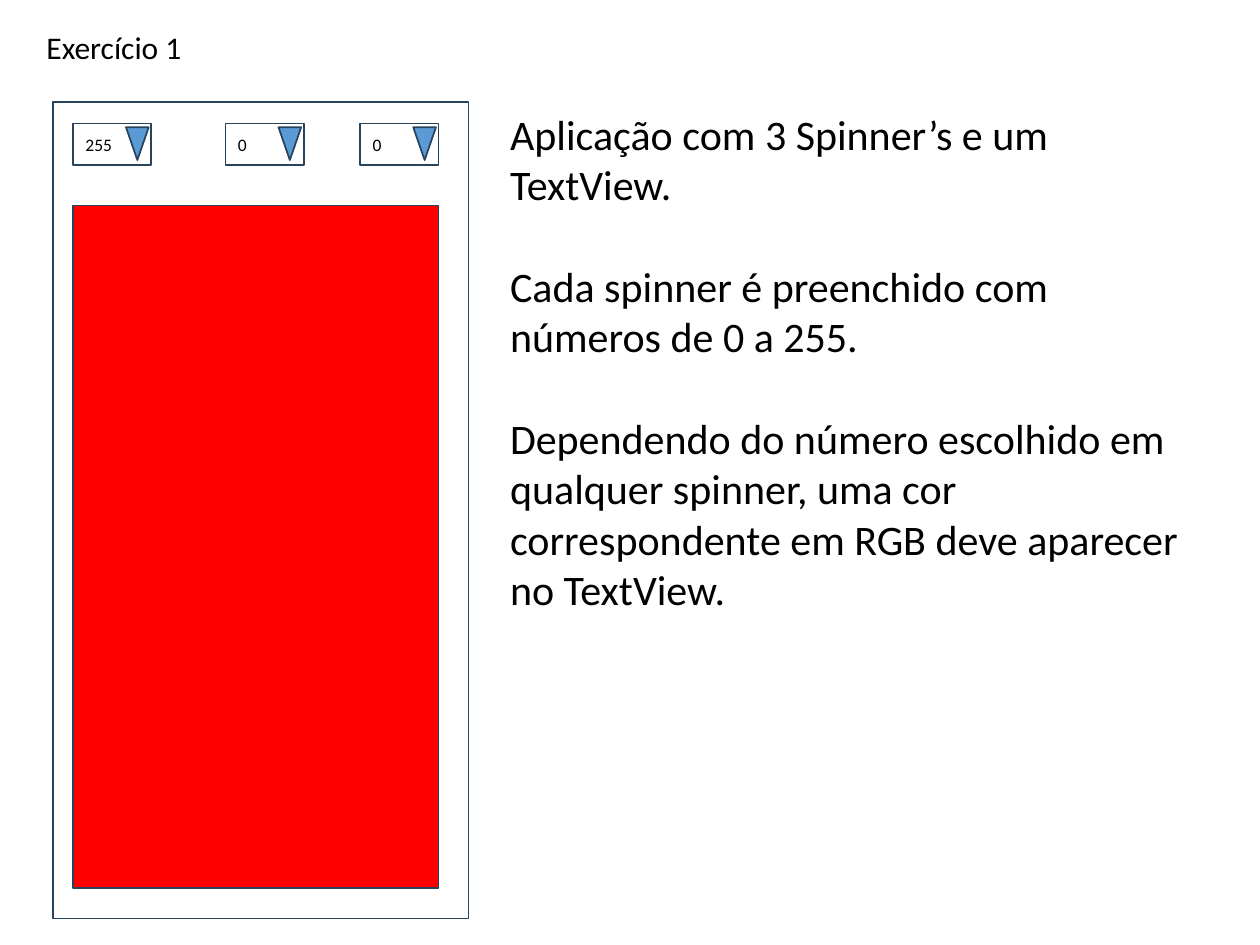
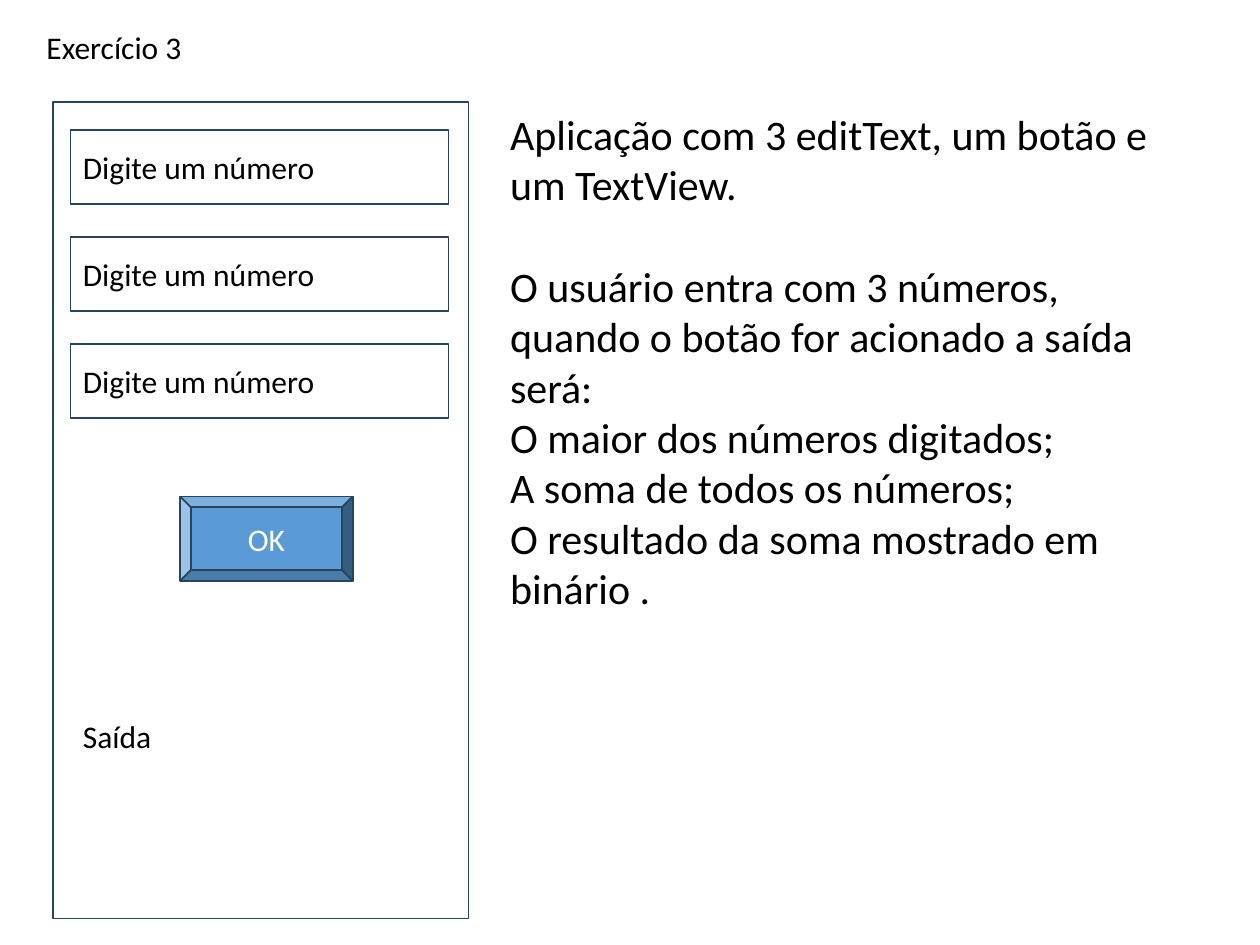
"""Builds two exercise slides, each with an app screen mockup and its task."""
from dataclasses import dataclass

from pptx import Presentation
from pptx.dml.color import RGBColor
from pptx.enum.shapes import MSO_SHAPE as Preset
from pptx.enum.text import MSO_ANCHOR as Anchor, MSO_AUTO_SIZE as AutoSize, PP_ALIGN as Align
from pptx.shapes.autoshape import Shape
from pptx.slide import Slide
from pptx.util import Inches, Pt

COLORS = {
    "paper": "FFFFFF",
    "ink": "000000",
    "outline": "28445D",
    "accent": "5B9BD5",
    "preview": "FF0000",
}
FONT = "Calibri"
TASK_SIZE = 24
LABEL_SIZE = 18
SPINNER_SIZE = 10
BLOCK_GAP = Pt(29.3)


@dataclass(frozen=True)
class Area:
    left: float
    top: float
    width: float
    height: float

    def lengths(self) -> list[Inches]:
        return [Inches(value) for value in (self.left, self.top, self.width, self.height)]


@dataclass(frozen=True)
class Line:
    text: str
    opens_block: bool = False


@dataclass(frozen=True)
class Style:
    size: float = LABEL_SIZE
    color: str = "ink"
    align: Align = Align.LEFT


@dataclass(frozen=True)
class Spinner:
    left: float
    value: str


TITLE = Area(0.27, 0.17, 1.37, 0.4)
SCREEN = Area(0.42, 0.81, 3.3, 6.48)
TASK = Area(3.95, 0.81, 5.64, 4.14)
PREVIEW = Area(0.58, 1.63, 2.9, 5.42)
BUTTON = Area(1.43, 3.94, 1.37, 0.67)
OUTPUT = Area(0.56, 5.64, 3, 0.4)
SPINNERS = [Spinner(0.58, "255"), Spinner(1.79, "0"), Spinner(2.86, "0")]
FIELD_TOP, FIELD_STEP, FIELD_COUNT = 1.03, 0.85, 3

COLOR_TASK = [
    Line("Aplicação com 3 Spinner’s e um TextView."),
    Line("Cada spinner é preenchido com números de 0 a 255.", True),
    Line("Dependendo do número escolhido em qualquer spinner, uma cor "
         "correspondente em RGB deve aparecer no TextView.", True),
]
SUM_TASK = [
    Line("Aplicação com 3 editText, um botão e um TextView."),
    Line("O usuário entra com 3 números, quando o botão for acionado a saída será:", True),
    Line("O maior dos números digitados;"),
    Line("A soma de todos os números;"),
    Line("O resultado da soma mostrado em binário ."),
]


def apply(target: object, formats: dict[str, object]) -> None:
    for name, value in formats.items():
        setattr(target, name, value)


def rgb(color: str) -> RGBColor:
    return RGBColor.from_string(COLORS[color])


def write(box: Shape, lines: list[Line], style: Style, frame_formats: dict[str, object]) -> None:
    frame = box.text_frame
    apply(frame, frame_formats)
    for index, line in enumerate(lines):
        para = frame.add_paragraph() if index else frame.paragraphs[0]
        apply(para, {"alignment": style.align,
                     "space_before": BLOCK_GAP if line.opens_block else Pt(0)})
        span = para.add_run()
        span.text = line.text
        apply(span.font, {"name": FONT, "size": Pt(style.size)})
        span.font.color.rgb = rgb(style.color)


def add_text(page: Slide, area: Area, lines: list[Line], style: Style = Style(),
             wrap: bool = True) -> None:
    box = page.shapes.add_textbox(*area.lengths())
    write(box, lines, style, {"word_wrap": wrap, "auto_size": AutoSize.SHAPE_TO_FIT_TEXT})


def add_panel(page: Slide, area: Area, fill: str = "paper", preset: Preset = Preset.RECTANGLE,
              text: str = "", style: Style = Style()) -> Shape:
    panel = page.shapes.add_shape(preset, *area.lengths())
    panel.shadow.inherit = False
    panel.fill.solid()
    panel.fill.fore_color.rgb = rgb(fill)
    panel.line.color.rgb = rgb("outline")
    panel.line.width = Pt(1)
    if text:
        write(panel, [Line(text)], style, {"word_wrap": True, "vertical_anchor": Anchor.MIDDLE})
    return panel


def add_spinner(page: Slide, spinner: Spinner) -> None:
    add_panel(page, Area(spinner.left, 0.98, 0.62, 0.33), text=spinner.value,
              style=Style(SPINNER_SIZE))
    arrow = add_panel(page, Area(spinner.left + 0.42, 1.01, 0.18, 0.26), "accent",
                      Preset.ISOSCELES_TRIANGLE)
    arrow.rotation = 180


def add_exercise(deck: Presentation, title: str, task: list[Line]) -> Slide:
    page = deck.slides.add_slide(deck.slide_layouts[6])
    add_text(page, TITLE, [Line(title)], wrap=False)
    add_panel(page, SCREEN)
    add_text(page, TASK, task, Style(TASK_SIZE))
    return page


def build_color_exercise(deck: Presentation) -> None:
    page = add_exercise(deck, "Exercício 1", COLOR_TASK)
    for spinner in SPINNERS:
        add_spinner(page, spinner)
    add_panel(page, PREVIEW, "preview")


def build_sum_exercise(deck: Presentation) -> None:
    page = add_exercise(deck, "Exercício 3", SUM_TASK)
    for row in range(FIELD_COUNT):
        add_panel(page, Area(0.56, FIELD_TOP + row * FIELD_STEP, 3, 0.59),
                  text="Digite um número")
    add_panel(page, BUTTON, "accent", Preset.BEVEL, "OK",
              Style(color="paper", align=Align.CENTER))
    add_text(page, OUTPUT, [Line("Saída")])


def main() -> None:
    deck = Presentation()
    apply(deck, {"slide_width": Inches(10), "slide_height": Inches(7.5)})
    build_color_exercise(deck)
    build_sum_exercise(deck)
    deck.save("out.pptx")


if __name__ == "__main__":
    main()
